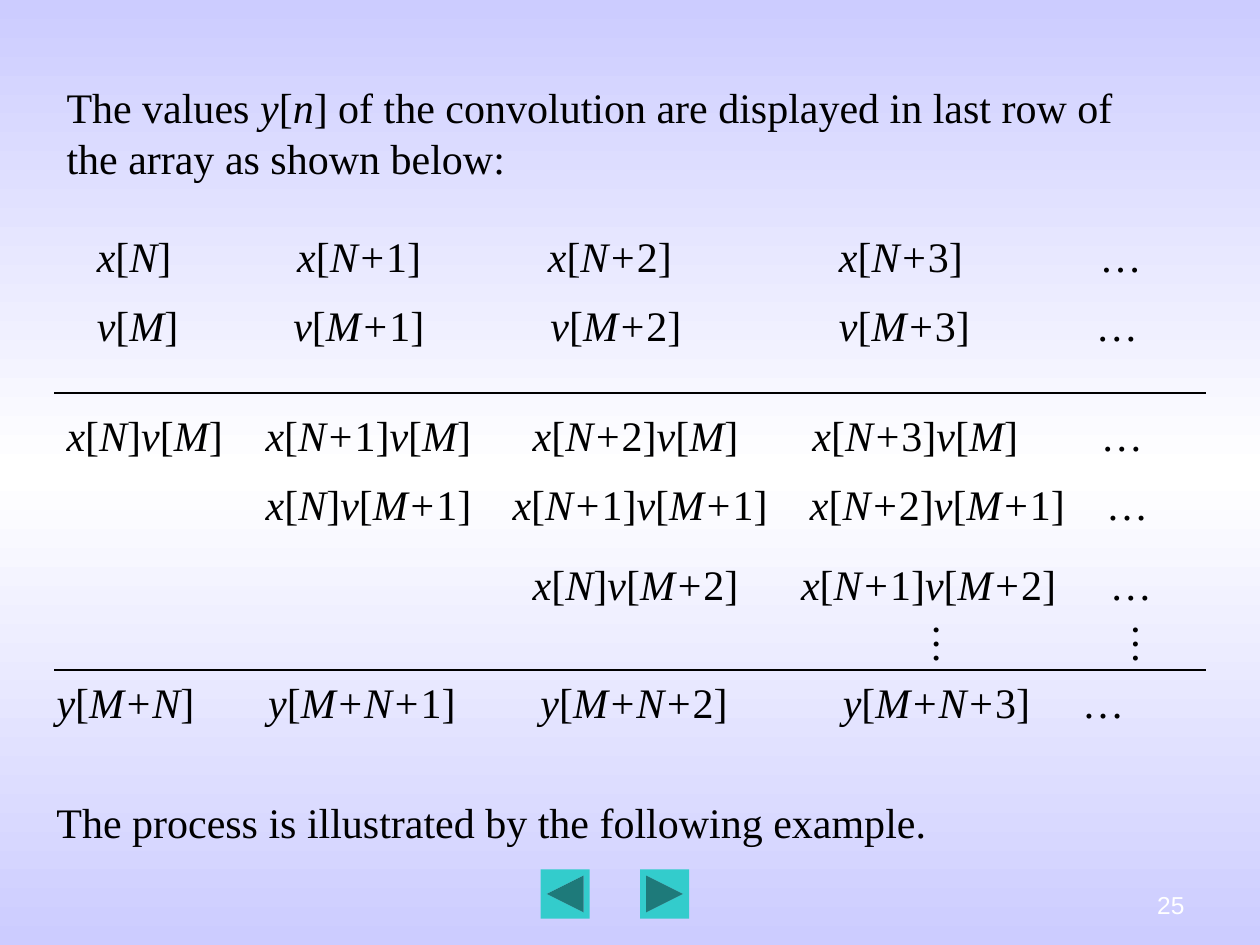
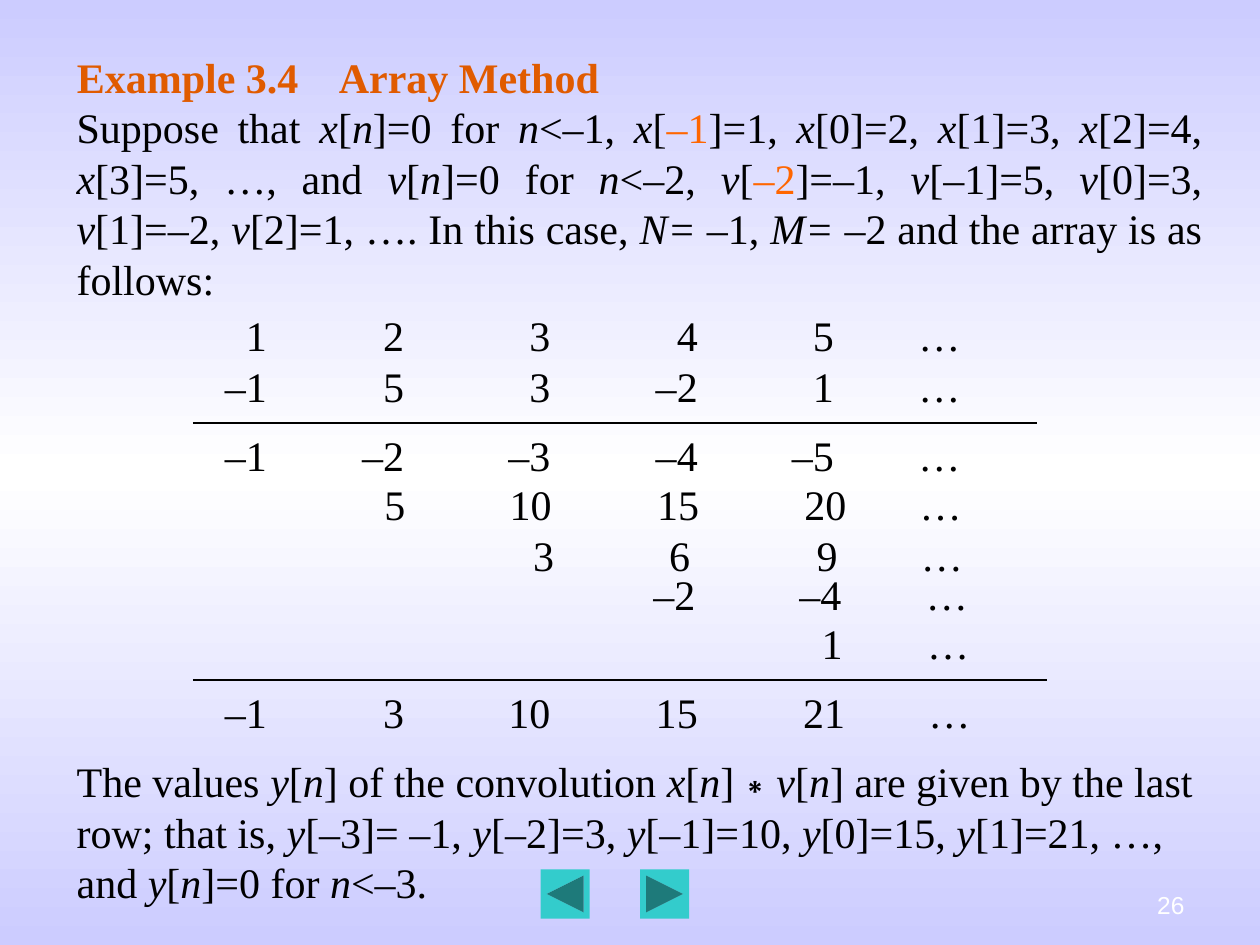
from copy import deepcopy
from dataclasses import dataclass

from lxml.etree import SubElement
from pptx import Presentation
from pptx.dml.color import RGBColor
from pptx.enum.shapes import MSO_CONNECTOR, MSO_SHAPE
from pptx.enum.text import MSO_ANCHOR, MSO_AUTO_SIZE, PP_ALIGN
from pptx.oxml.ns import qn
from pptx.util import Inches, Pt


@dataclass(frozen=True)
class Theme:
    edge: RGBColor = RGBColor(0xCC, 0xCC, 0xFF)
    middle: RGBColor = RGBColor(0xFF, 0xFF, 0xFF)
    ink: RGBColor = RGBColor(0x00, 0x00, 0x00)
    heading: RGBColor = RGBColor(0xE0, 0x5B, 0x00)
    accent: RGBColor = RGBColor(0xFF, 0x66, 0x00)
    button: RGBColor = RGBColor(0x33, 0xCC, 0xCC)
    number: RGBColor = RGBColor(0xFF, 0xFF, 0xFF)
    serif: str = "Times New Roman"
    sans: str = "Arial"
    text_size: Pt = Pt(24)
    number_size: Pt = Pt(14)
    rule_width: Pt = Pt(1.25)


theme = Theme()


def write(shape, markup, tabs=(), color=theme.ink, size=theme.text_size,
          face=theme.serif, align=PP_ALIGN.LEFT, anchor=MSO_ANCHOR.TOP):
    """Fill a shape: _..._ is italic, ^...^ is accented; tabs are (inches, "l" or "r")."""
    frame = shape.text_frame
    frame.word_wrap = True
    frame.auto_size = MSO_AUTO_SIZE.NONE
    frame.vertical_anchor = anchor
    paragraph = frame.paragraphs[0]
    paragraph.alignment = align
    if tabs:
        stops = SubElement(paragraph._p.get_or_add_pPr(), qn("a:tabLst"))
        for position, side in tabs:
            SubElement(stops, qn("a:tab"), pos=str(Inches(position)), algn=side)
    font = paragraph.font
    font.name, font.size, font.color.rgb = face, size, color
    for i, chunk in enumerate(markup.split("_")):
        for j, piece in enumerate(chunk.split("^")):
            if not piece:
                continue
            run = paragraph.add_run()
            run.text = piece
            if i % 2:
                run.font.italic = True
            if piece == "∗":
                run.font.name = theme.sans
            elif j % 2:
                run.font.color.rgb = theme.accent
    return paragraph


def term(signal, start, offset):
    """Markup of signal[start+offset]."""
    return f"_{signal}_[_{start}+_{offset}]" if offset else f"_{signal}_[_{start}_]"


prs = Presentation()
prs.slide_width, prs.slide_height = Inches(10), Inches(7.5)

background = prs.slide_master.background.fill
background.gradient()
background.gradient_angle = 90
first_stop, middle_stop = background.gradient_stops
first_stop.color.rgb, first_stop.position = theme.edge, 0
middle_stop.color.rgb, middle_stop.position = theme.middle, 0.5
stop_list = prs.slide_master.element.find(".//" + qn("a:gsLst"))
last_stop = deepcopy(stop_list[0])
last_stop.set("pos", "100000")
stop_list.append(last_stop)

general = prs.slides.add_slide(prs.slide_layouts[6])
example = prs.slides.add_slide(prs.slide_layouts[5])

# General array: the starts of its columns differ a little from row to row
columns = range(4)
general_rows = [
    (1.78, [0.77, 2.36, 4.35, 6.66, 8.73], [term("x", "N", k) for k in columns]),
    (2.33, [0.77, 2.33, 4.37, 6.66, 8.70], [term("v", "M", k) for k in columns]),
    (5.32, [0.45, 2.13, 4.29, 6.69, 8.59], [term("y", "M+N", k) for k in columns]),
]
product_rows = [
    (3.2, [0.53, 2.11, 4.23, 6.45, 8.74]),
    (3.75, [2.11, 4.07, 6.43, 8.78]),
    (4.38, [4.23, 6.36, 8.81]),
]
for j, (top, starts) in enumerate(product_rows):
    products = [term("x", "N", k - j) + term("v", "M", j) for k in columns[j:]]
    general_rows.append((top, starts, products))

for top, starts, terms in general_rows:
    left = starts[0] - 0.1
    row = general.shapes.add_textbox(Inches(left), Inches(top), Inches(9.7 - left), Inches(0.5))
    write(row, "\t".join(terms + ["…"]), [(start - starts[0], "l") for start in starts[1:]])

for left in (7.2, 8.78):
    dots = general.shapes.add_textbox(Inches(left), Inches(4.85), Inches(0.6), Inches(0.63))
    write(dots, "…")
    frame = dots.text_frame
    frame.margin_left = frame.margin_right = Inches(0.05)
    frame.margin_top = frame.margin_bottom = Inches(0.1)
    frame._txBody.bodyPr.set("vert", "eaVert")

# Numeric array: numbers end at right tabs, the dots start at a left tab
title = example.shapes.title
title.left, title.top, title.width, title.height = (Inches(n) for n in (0.51, 0.36, 9.13, 0.5))
write(title, "Example 3.4\tArray Method", [(2.08, "l")], theme.heading).font.bold = True

array_left = 1.53
base_ends = [2.12, 3.21, 4.37, 5.54, 6.62, 7.29]
example_rows = [
    (2.41, base_ends, "1 2 3 4 5 …"),
    (2.81, base_ends, "–1 5 3 –2 1 …"),
    (3.36, base_ends, "–1 –2 –3 –4 –5 …"),
    (3.75, [3.22, 4.38, 5.55, 6.72, 7.30], "5 10 15 20 …"),
    (4.15, [4.40, 5.48, 6.65, 7.31], "3 6 9 …"),
    (4.46, [5.52, 6.68, 7.35], "–2 –4 …"),
    (4.85, [6.69, 7.36], "1 …"),
    (5.4, base_ends[:4] + [6.71, 7.37], "–1 3 10 15 21 …"),
]
for top, ends, values in example_rows:
    row = example.shapes.add_textbox(Inches(array_left), Inches(top), Inches(7), Inches(0.5))
    origin = array_left + 0.1
    stops = [(end - origin, "r") for end in ends[:-1]] + [(ends[-1] - origin, "l")]
    write(row, "\t" + "\t".join(values.split()), stops)

statements = [
    (general, (0.43, 0.6, 8.9, 0.9), PP_ALIGN.LEFT,
     "The values _y_[_n_] of the convolution are displayed in last row of the array "
     "as shown below:"),
    (general, (0.35, 6.27, 9.06, 0.5), PP_ALIGN.LEFT,
     "The process is illustrated by the following example."),
    (example, (0.51, 0.76, 9.13, 1.7), PP_ALIGN.JUSTIFY,
     "Suppose that _x_[_n_]=0 for _n_<–1, _x_[^–1^]=1, _x_[0]=2, _x_[1]=3, _x_[2]=4, "
     "_x_[3]=5, …, and _v_[_n_]=0 for _n_<–2, _v_[^–2^]=–1, _v_[–1]=5, _v_[0]=3, "
     "_v_[1]=–2, _v_[2]=1, …. In this case, _N= _–1, _M= _–2 and the array is as follows:"),
    (example, (0.51, 5.95, 9.29, 1.3), PP_ALIGN.LEFT,
     "The values _y_[_n_] of the convolution _x_[_n_]^∗^_v_[_n_] are given by the last row; "
     "that is, _y_[–3]= –1, _y_[–2]=3, _y_[–1]=10, _y_[0]=15, _y_[1]=21, …, "
     "and _y_[_n_]=0 for _n_<–3."),
]
for slide, place, align, markup in statements:
    statement = slide.shapes.add_textbox(*(Inches(n) for n in place))
    write(statement, markup, align=align)

rules = [
    (general, 0.43, 9.57, 3.12),
    (general, 0.43, 9.57, 5.32),
    (example, array_left, 8.23, 3.36),
    (example, array_left, 8.31, 5.4),
]
for slide, start, end, height in rules:
    rule = slide.shapes.add_connector(
        MSO_CONNECTOR.STRAIGHT, Inches(start), Inches(height), Inches(end), Inches(height))
    rule.line.color.rgb = theme.ink
    rule.line.width = theme.rule_width
    SubElement(rule._element.spPr, qn("a:effectLst"))

# Navigation buttons and slide number
buttons = [
    (4.29, MSO_SHAPE.ACTION_BUTTON_BACK_OR_PREVIOUS),
    (5.08, MSO_SHAPE.ACTION_BUTTON_FORWARD_OR_NEXT),
]
for number, slide in enumerate((general, example), start=25):
    for left, direction in buttons:
        button = slide.shapes.add_shape(
            direction, Inches(left), Inches(6.9), Inches(0.39), Inches(0.39))
        button.shadow.inherit = False
        button.fill.solid()
        button.fill.fore_color.rgb = theme.button
        button.line.fill.background()
    corner = slide.shapes.add_textbox(Inches(7.17), Inches(6.83), Inches(2.33), Inches(0.52))
    write(corner, str(number), color=theme.number, size=theme.number_size,
          face=theme.sans, align=PP_ALIGN.RIGHT, anchor=MSO_ANCHOR.BOTTOM)

prs.save("out.pptx")
